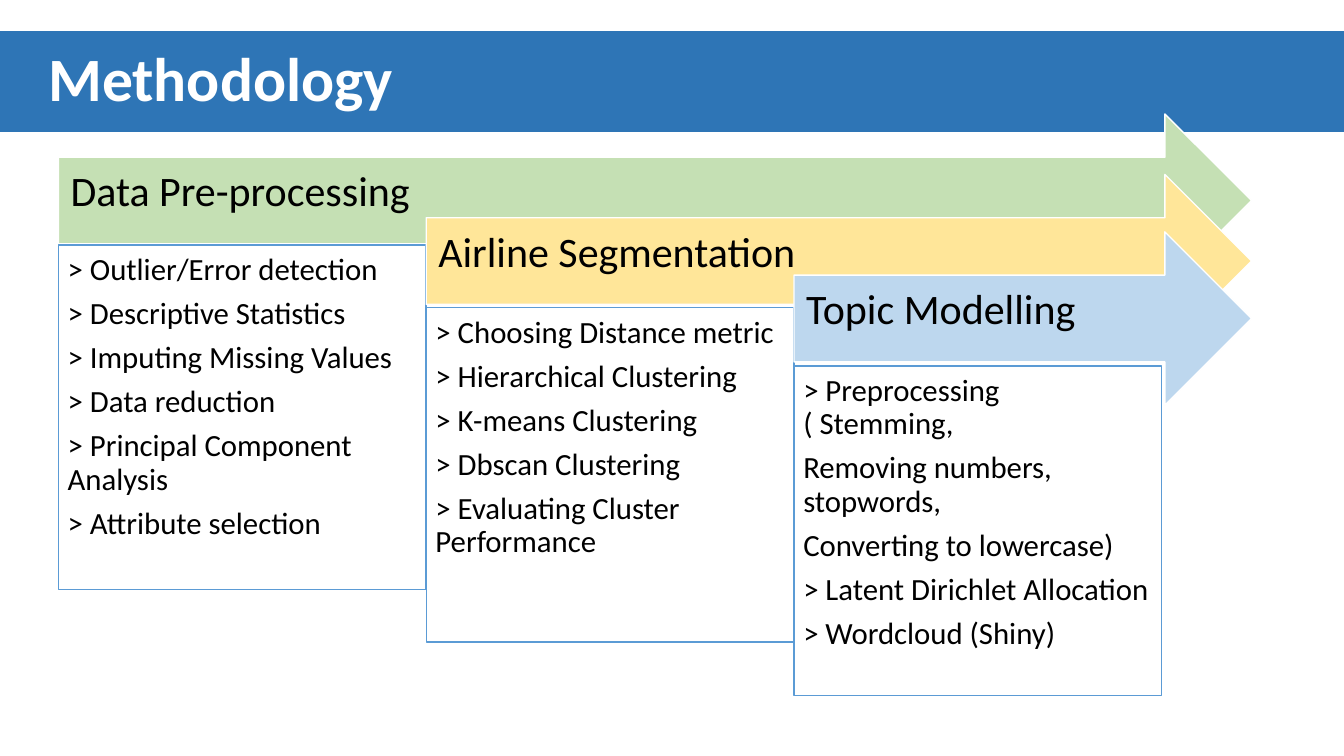
from pptx import Presentation
from pptx.util import Pt
from pptx.dml.color import RGBColor as RGB
from pptx.enum.shapes import MSO_SHAPE as Kind
from pptx.enum.text import MSO_ANCHOR as Anchor

HUES = {"band": "2E75B6", "green": "C5E0B4", "gold": "FFE699", "sky": "BDD7EE",
        "edge": "5B9BD5", "white": "FFFFFF", "black": "000000"}
LEFT, RIGHT, WIDE = 41.76, 894, 262.7
ARROW = 123.84
STAGES = [
    ("Data Pre-processing", "green", 81.36, 174.96, 246.24,
     ["> Outlier/Error detection", "> Descriptive Statistics",
      "> Imputing Missing Values", "> Data reduction",
      "> Principal Component Analysis", "> Attribute selection"]),
    ("Airline Segmentation", "gold", 124.56, 219.6, 239.04,
     ["> Choosing Distance metric", "> Hierarchical Clustering",
      "> K-means Clustering", "> Dbscan Clustering",
      "> Evaluating Cluster Performance"]),
    ("Topic Modelling", "sky", 165.6, 261.36, 235.44,
     ["> Preprocessing ( Stemming,", "Removing numbers, stopwords,",
      "Converting to lowercase)", "> Latent Dirichlet Allocation",
      "> Wordcloud (Shiny)"]),
]


def hue(name):
    """Return the named colour."""
    return RGB.from_string(HUES[name])


def block(slide, kind, box, fill, edge=None):
    """Add a flat shape in the box."""
    shape = slide.shapes.add_shape(kind, *map(Pt, box))
    shape.shadow.inherit = False
    shape.fill.solid()
    shape.fill.fore_color.rgb = hue(fill)
    if edge:
        shape.line.color.rgb = hue(edge)
        shape.line.width = Pt(1)
    else:
        shape.line.fill.background()
    return shape


def write(shape, lines, size, pads, anchor, ink="black", bold=False):
    """Fill the shape with left-aligned paragraphs."""
    frame = shape.text_frame
    left, top, right, bottom = map(Pt, pads)
    form = {"word_wrap": True, "vertical_anchor": anchor, "margin_left": left,
            "margin_top": top, "margin_right": right, "margin_bottom": bottom}
    for key, value in form.items():
        setattr(frame, key, value)
    frame.text = "\n".join(lines)
    for para in frame.paragraphs:
        para.alignment = 1
        para.line_spacing = 0.9
        para.space_after = Pt(size * 0.35)
        face = {"name": "Calibri", "size": Pt(size), "bold": bold}
        for key, value in face.items():
            setattr(para.font, key, value)
        para.font.color.rgb = hue(ink)


def header(slide, box):
    """Draw the title band."""
    x, y, w, h = box
    block(slide, Kind.RECTANGLE, box, "band")
    text = slide.shapes.add_textbox(*map(Pt, (x + 27.36, y + 6.5, 643, 59)))
    write(text, ["Methodology"], 44, (7.2, 3.6, 7.2, 3.6), Anchor.MIDDLE, "white", True)


def arrow(slide, box, title, fill):
    """Draw a stage arrow with its title along the shaft."""
    x, y, w, h = box
    block(slide, Kind.RIGHT_ARROW, box, fill, "white")
    shaft = (x, y + h / 4, w - h / 4, h / 2)
    text = slide.shapes.add_textbox(*map(Pt, shaft))
    write(text, [title], 30, (8.64, 8.64, 20.16, 19.44), Anchor.MIDDLE)


def card(slide, box, lines):
    """Draw the list of steps under an arrow."""
    shape = block(slide, Kind.RECTANGLE, box, "white", "edge")
    write(shape, lines, 22, (6.6,) * 4, Anchor.TOP)


def main():
    """Build and save the slide."""
    deck = Presentation()
    deck.slide_width, deck.slide_height = Pt(960), Pt(540)
    slide = deck.slides.add_slide(deck.slide_layouts[6])
    header(slide, (0, 22.32, 960, 72))
    for i, (title, fill, top, base, high, lines) in enumerate(STAGES):
        x = LEFT + i * WIDE
        arrow(slide, (x, top, RIGHT - x, ARROW), title, fill)
        card(slide, (x, base, WIDE, high), lines)
    deck.save("out.pptx")


if __name__ == "__main__":
    main()
